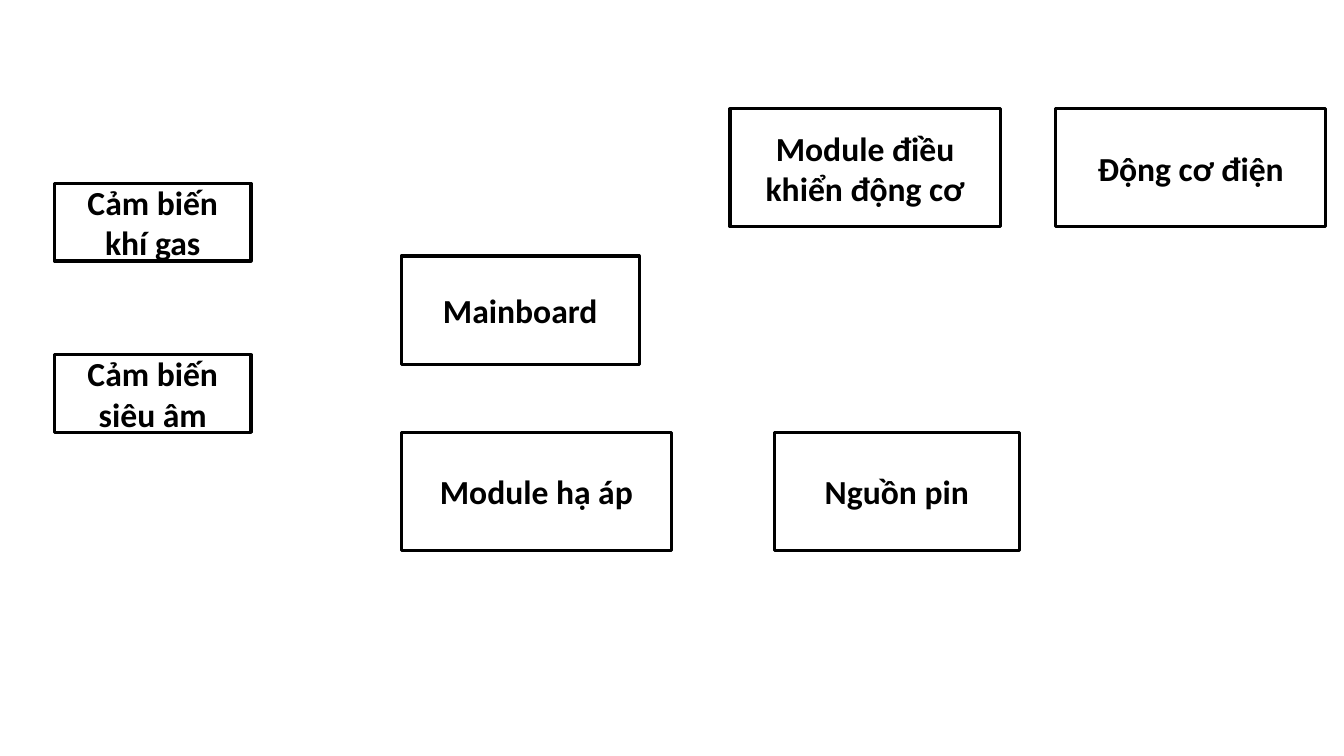
from pptx import Presentation
from pptx.dml.color import RGBColor
from pptx.enum.shapes import MSO_SHAPE
from pptx.enum.text import MSO_ANCHOR, PP_ALIGN
from pptx.util import Inches, Pt

COLORS = {"fill": "FFFFFF", "ink": "000000"}
FONT = "Calibri"
MODULE_W, MODULE_H = 2.68, 1.17


def add_block(s, label, left, top, width, height):
    sp = s.shapes.add_shape(MSO_SHAPE.RECTANGLE, Inches(left), Inches(top),
                            Inches(width), Inches(height))
    sp.shadow.inherit = False
    sp.fill.solid()
    sp.fill.fore_color.rgb = RGBColor.from_string(COLORS["fill"])
    sp.line.color.rgb = RGBColor.from_string(COLORS["ink"])
    sp.line.width = Pt(2.25)
    tf = sp.text_frame
    tf.text = label
    tf.word_wrap = True
    tf.vertical_anchor = MSO_ANCHOR.MIDDLE
    p = tf.paragraphs[0]
    p.alignment = PP_ALIGN.CENTER
    font = p.runs[0].font
    font.name = FONT
    font.size = Pt(24)
    font.bold = True
    font.color.rgb = RGBColor.from_string(COLORS["ink"])


def add_sensors(s, left, top, width, height):
    block_h = 0.77
    labels = ["Cảm biến khí gas", "Cảm biến siêu âm"]
    step = (height - block_h) / (len(labels) - 1)
    for i, label in enumerate(labels):
        add_block(s, label, left, top + i * step, width, block_h)


def add_motor_drive(s, left, top, width, height):
    labels = ["Module điều khiển động cơ", "Động cơ điện"]
    step = (width - MODULE_W) / (len(labels) - 1)
    for i, label in enumerate(labels):
        add_block(s, label, left + i * step, top, MODULE_W, height)


def add_power_supply(s, left, top, width, height):
    battery_w = 2.43
    add_block(s, "Module hạ áp", left, top, MODULE_W, height)
    add_block(s, "Nguồn pin", left + width - battery_w, top, battery_w, height)


prs = Presentation()
prs.slide_width, prs.slide_height = Inches(13.33), Inches(7.5)
s = prs.slides.add_slide(prs.slide_layouts[6])
add_block(s, "Mainboard", 3.98, 2.54, 2.36, 1.08)
add_sensors(s, 0.54, 1.82, 1.95, 2.47)
add_power_supply(s, 3.98, 4.29, 6.13, MODULE_H)
add_motor_drive(s, 7.24, 1.08, 5.91, MODULE_H)
prs.save("out.pptx")
